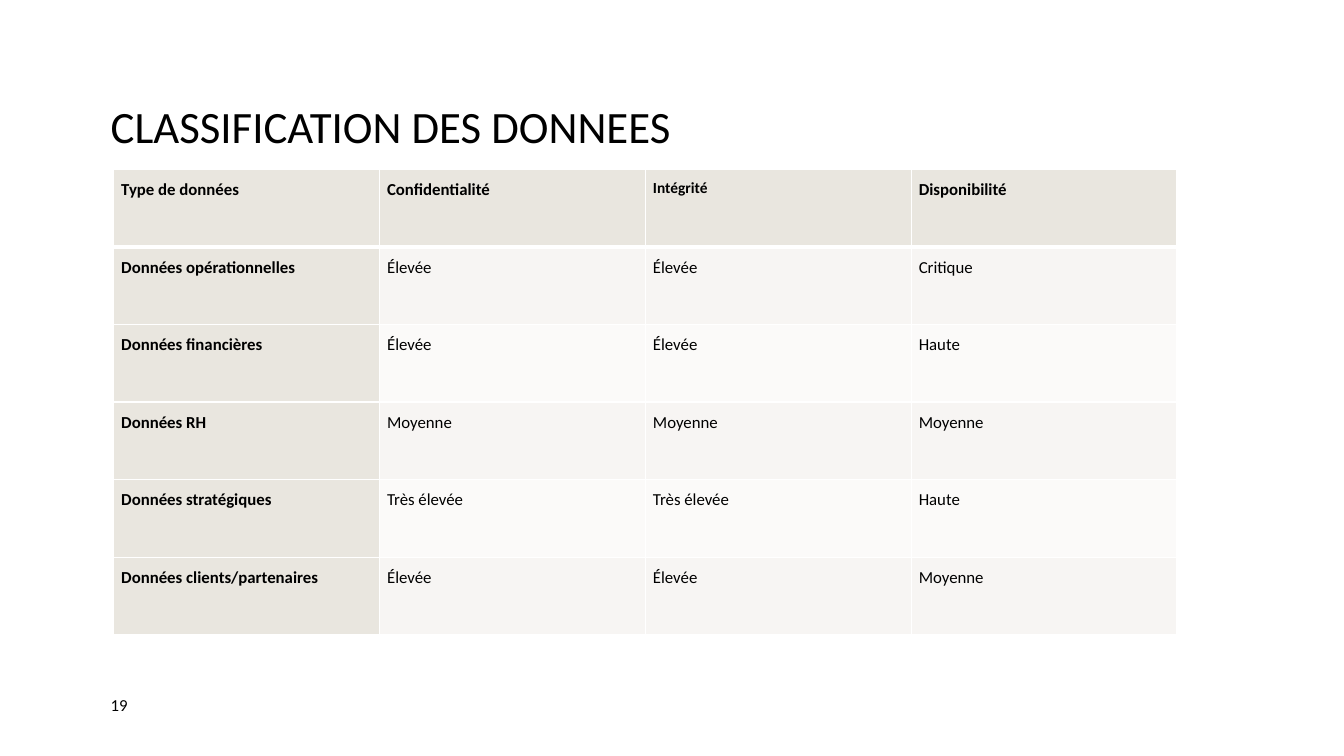
from dataclasses import dataclass

from lxml.etree import SubElement
from pptx import Presentation
from pptx.dml.color import RGBColor
from pptx.enum.text import MSO_ANCHOR, PP_ALIGN
from pptx.oxml.ns import qn
from pptx.util import Pt


@dataclass(frozen=True)
class Theme:
    font: str = "Calibri"
    ink: str = "000000"
    rule: str = "FFFFFF"
    head: str = "E9E6DF"
    bands: tuple = ("F7F5F3", "FBFAF9")
    title: int = 32
    body: int = 12
    small: int = 11
    thin: int = 1
    thick: int = 3


THEME = Theme()

ROWS = [
    ("Type de données", "Confidentialité", "Intégrité", "Disponibilité"),
    ("Données opérationnelles", "Élevée", "Élevée", "Critique"),
    ("Données financières", "Élevée", "Élevée", "Haute"),
    ("Données RH", "Moyenne", "Moyenne", "Moyenne"),
    ("Données stratégiques", "Très élevée", "Très élevée", "Haute"),
    ("Données clients/partenaires", "Élevée", "Élevée", "Moyenne"),
]


def style(para, size, bold=False):
    font = para.font
    font.name = THEME.font
    font.size = Pt(size)
    font.bold = bold
    font.color.rgb = RGBColor.from_string(THEME.ink)


def add_label(slide, box, text, size, lead=1.0):
    """Place one line of text, centred vertically in its box."""
    frame = slide.shapes.add_textbox(*map(Pt, box)).text_frame
    frame.word_wrap = True
    frame.vertical_anchor = MSO_ANCHOR.MIDDLE
    para = frame.paragraphs[0]
    para.text = text
    para.line_spacing = lead
    style(para, size)


def add_rules(cell, top, bottom):
    """Draw the four cell borders, which must stand before the fill."""
    props = cell._tc.get_or_add_tcPr()
    widths = {"L": THEME.thin, "R": THEME.thin, "T": top, "B": bottom}
    for spot, (side, width) in enumerate(widths.items()):
        line = SubElement(props, qn(f"a:ln{side}"), w=str(Pt(width)))
        fill = SubElement(line, qn("a:solidFill"))
        SubElement(fill, qn("a:srgbClr"), val=THEME.rule)
        props.insert(spot, line)


def fill_cell(cell, text, row, col):
    cell.margin_left = cell.margin_right = Pt(5.4)
    cell.margin_top = cell.margin_bottom = 0
    lead = row == 0 or col == 0
    shade = THEME.head if lead else THEME.bands[(row - 1) % 2]
    cell.fill.solid()
    cell.fill.fore_color.rgb = RGBColor.from_string(shade)
    # The heavy rule runs between the header and the first data row
    add_rules(cell,
              THEME.thick if row == 1 else THEME.thin,
              THEME.thick if row == 0 else THEME.thin)
    para = cell.text_frame.paragraphs[0]
    para.text = text
    para.alignment = PP_ALIGN.JUSTIFY
    para.line_spacing = 1.5
    para.space_after = Pt(8)
    style(para, THEME.small if (row, col) == (0, 2) else THEME.body, lead)


def add_grid(slide, box, rows):
    """Spread the rows and columns evenly over the box."""
    count, width = len(rows), len(rows[0])
    table = slide.shapes.add_table(count, width, *map(Pt, box)).table
    for col in table.columns:
        col.width = Pt(box[2] / width)
    for row in table.rows:
        row.height = Pt(box[3] / count)
    for r, texts in enumerate(rows):
        for c, text in enumerate(texts):
            fill_cell(table.cell(r, c), text, r, c)


def main():
    deck = Presentation()
    deck.slide_width, deck.slide_height = Pt(960), Pt(540)
    slide = deck.slides.add_slide(deck.slide_layouts[6])

    # Title, classification table, page number
    add_label(slide, (72, 28.8, 816, 126), "CLASSIFICATION DES DONNEES",
              THEME.title, 0.9)
    add_grid(slide, (81.2, 121, 759.6, 332.4), ROWS)
    add_label(slide, (72, 492, 50, 23), "19", THEME.body)

    deck.save("out.pptx")


if __name__ == "__main__":
    main()
